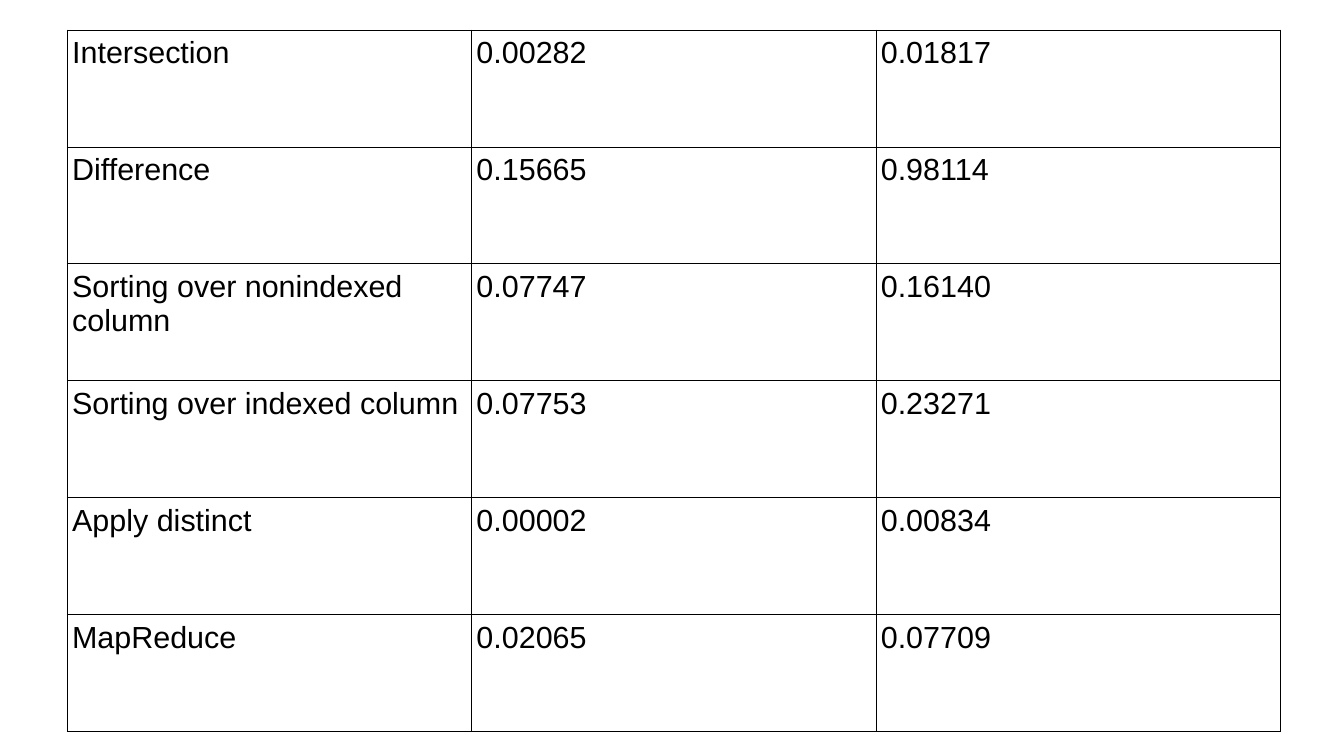
from lxml.etree import SubElement
from pptx import Presentation
from pptx.dml.color import RGBColor
from pptx.enum.text import MSO_ANCHOR
from pptx.oxml.ns import qn
from pptx.util import Pt

COLORS = {"text": "000000", "border": "000000"}
FONT = {"name": "Arial", "size": Pt(18), "bold": False}
CELL = {
    "margin_left": Pt(2.9), "margin_right": Pt(2.9),
    "margin_top": Pt(3.6), "margin_bottom": Pt(3.6),
    "vertical_anchor": MSO_ANCHOR.TOP,
}
BORDER_WIDTH = Pt(0.57)
LEFT, TOP = 39.7, 17.8
COL_WIDTH, ROW_HEIGHT = 238.8, 69

TIMINGS = [
    ("Intersection", "0.00282", "0.01817"),
    ("Difference", "0.15665", "0.98114"),
    ("Sorting over nonindexed column", "0.07747", "0.16140"),
    ("Sorting over indexed column", "0.07753", "0.23271"),
    ("Apply distinct", "0.00002", "0.00834"),
    ("MapReduce", "0.02065", "0.07709"),
]


def set_attrs(obj, values):
    for name, value in values.items():
        setattr(obj, name, value)


def add_borders(cell):
    tcPr = cell._tc.get_or_add_tcPr()
    for side in ("lnL", "lnR", "lnT", "lnB"):
        ln = SubElement(tcPr, qn(f"a:{side}"), w=str(int(BORDER_WIDTH)))
        fill = SubElement(ln, qn("a:solidFill"))
        SubElement(fill, qn("a:srgbClr"), val=COLORS["border"])


def fill_cell(cell, text):
    set_attrs(cell, CELL)
    # Borders come before the fill in the cell properties
    add_borders(cell)
    cell.fill.background()
    r = cell.text_frame.paragraphs[0].add_run()
    r.text = text
    set_attrs(r.font, FONT)
    r.font.color.rgb = RGBColor.from_string(COLORS["text"])


def add_timing_table(s, rows):
    n_rows, n_cols = len(rows), len(rows[0])
    table = s.shapes.add_table(
        n_rows, n_cols, Pt(LEFT), Pt(TOP),
        Pt(n_cols * COL_WIDTH), Pt(n_rows * ROW_HEIGHT)).table
    set_attrs(table, {"first_row": False, "horz_banding": False})
    for col in table.columns:
        col.width = Pt(COL_WIDTH)
    for i, row in enumerate(rows):
        table.rows[i].height = Pt(ROW_HEIGHT)
        for j, text in enumerate(row):
            fill_cell(table.cell(i, j), text)


def main():
    prs = Presentation()
    set_attrs(prs, {"slide_width": Pt(793.7), "slide_height": Pt(446.4)})
    # Blank layout: the slide holds only the table
    s = prs.slides.add_slide(prs.slide_layouts[6])
    add_timing_table(s, TIMINGS)
    prs.save("out.pptx")


main()
